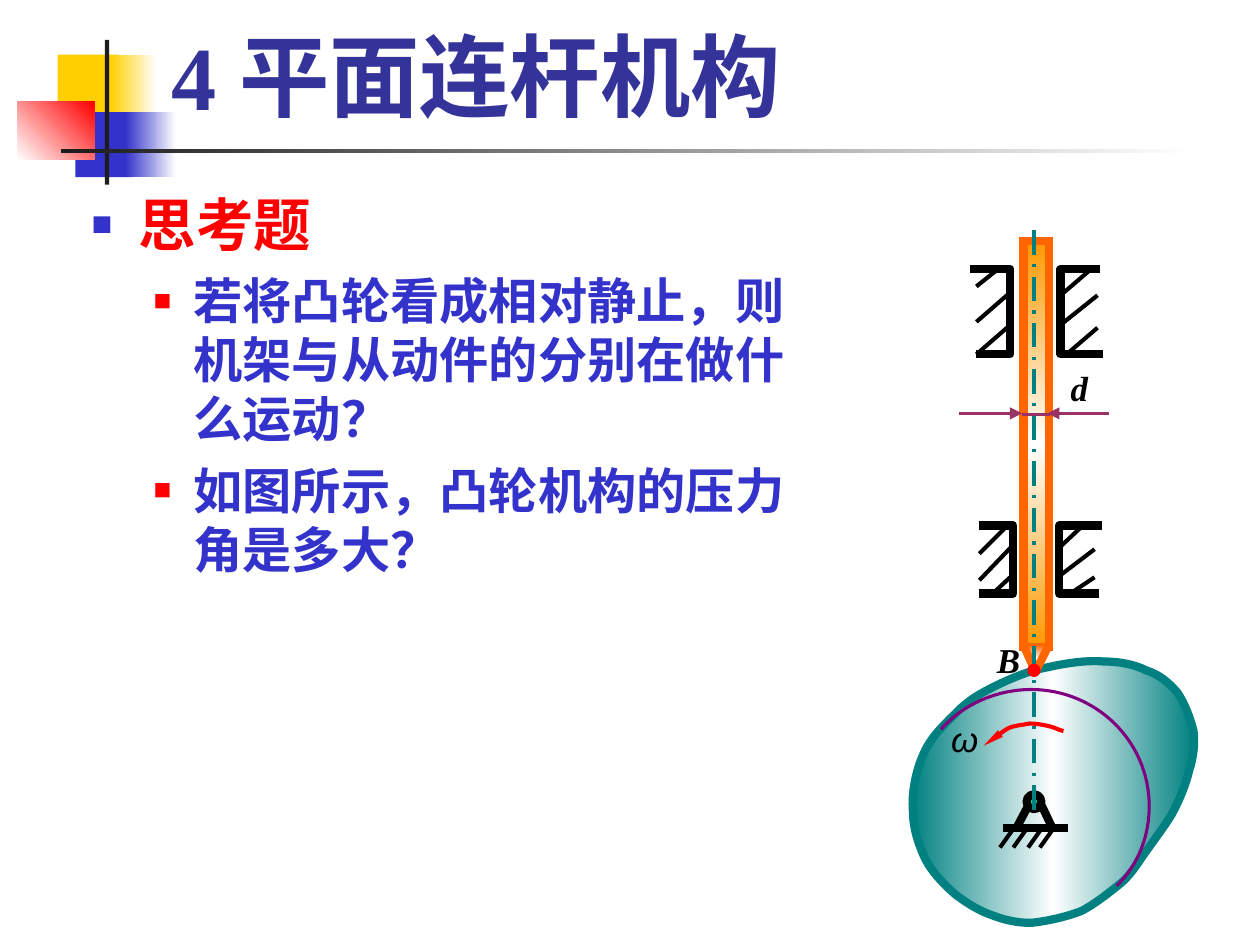
from copy import deepcopy

from lxml.etree import SubElement
from pptx import Presentation
from pptx.dml.color import RGBColor
from pptx.enum.dml import MSO_LINE
from pptx.enum.shapes import MSO_CONNECTOR, MSO_SHAPE
from pptx.enum.text import MSO_ANCHOR, MSO_AUTO_SIZE, PP_ALIGN
from pptx.oxml.ns import qn
from pptx.util import Cm, Pt

YELLOW = RGBColor(0xFF, 0xCF, 0x01)
WHITE = RGBColor(0xFF, 0xFF, 0xFF)
BLUE = RGBColor(0x33, 0x33, 0xCC)
NAVY = RGBColor(0x33, 0x33, 0x99)
RED = RGBColor(0xFF, 0x00, 0x00)
CHARCOAL = RGBColor(0x1C, 0x1C, 0x1C)
BLACK = RGBColor(0x00, 0x00, 0x00)
TEAL = RGBColor(0x00, 0x80, 0x80)
MINT = RGBColor(0x00, 0xE4, 0xA8)
PURPLE = RGBColor(0x80, 0x00, 0x80)
PLUM = RGBColor(0x99, 0x33, 0x66)
AMBER = RGBColor(0xFF, 0x99, 0x00)
ORANGE = RGBColor(0xFF, 0x66, 0x00)
CM_PER_INCH = 2.54


def lengths(*inches):
    return [Cm(value * CM_PER_INCH) for value in inches]


def paint(shape, colours, angle=0, edge=None, width=0):
    shape.shadow.inherit = False
    if not colours:
        shape.fill.background()
    elif len(colours) == 1:
        shape.fill.solid()
        shape.fill.fore_color.rgb = colours[0]
    else:
        shape.fill.gradient()
        shape.fill.gradient_angle = angle
        stop_list = shape._element.spPr.find(".//" + qn("a:gsLst"))
        if len(colours) == 3:
            stop_list.insert(1, deepcopy(stop_list[0]))
        for index, stop in enumerate(shape.fill.gradient_stops):
            stop.position = index / (len(colours) - 1)
            stop.color.rgb = colours[index]
    if edge is None:
        shape.line.fill.background()
    else:
        shape.line.color.rgb = edge
        shape.line.width = Pt(width)


prs = Presentation()
prs.slide_width, prs.slide_height = lengths(8.53, 6.4)
slide = prs.slides.add_slide(prs.slide_layouts[5])
shapes = slide.shapes

rectangles = [
    ((0.39, 0.37, 0.41, 0.44), [YELLOW], 0, None),
    ((0.75, 0.37, 0.31, 0.44), [YELLOW, WHITE], 0, None),
    ((0.51, 0.76, 0.39, 0.44), [BLUE], 0, None),
    ((0.85, 0.76, 0.34, 0.44), [BLUE, WHITE], 0, None),
    ((0.12, 0.69, 0.52, 0.39), [WHITE, RED], 45, None),
    ((0.71, 0.27, 0.03, 0.98), [CHARCOAL], 0, None),
    ((0.41, 1.01, 7.68, 0.03), [CHARCOAL, WHITE], 0, None),
    ((6.93, 1.63, 0.17, 2.75), [AMBER, WHITE, AMBER], 90, ORANGE),
]
for box, colours, angle, edge in rectangles:
    rectangle = shapes.add_shape(MSO_SHAPE.RECTANGLE, *lengths(*box))
    paint(rectangle, colours, angle, edge, 4)
    SubElement(rectangle._element.spPr.find(qn("a:ln")), qn("a:miter")).set("lim", "800000")

title = shapes.title
title.left, title.top, title.width, title.height = lengths(1.07, 0.09, 7.27, 0.82)
heading = title.text_frame
heading.auto_size = MSO_AUTO_SIZE.NONE
heading.vertical_anchor = MSO_ANCHOR.BOTTOM
heading.margin_left, heading.margin_bottom = lengths(0.09, 0.04)
heading.text = "4 平面连杆机构"
heading.paragraphs[0].alignment = PP_ALIGN.LEFT
font = heading.paragraphs[0].runs[0].font
font.size, font.bold, font.name = Pt(44), True, "Times New Roman"
font.color.rgb = NAVY

questions = shapes.add_textbox(*lengths(0.53, 1.24, 4.87, 4.78)).text_frame
questions.word_wrap = True
questions.margin_left, questions.margin_top, questions.margin_right = lengths(0.09, 0.04, 0.05)
question_lines = [
    ("思考题", 0, 28, RED, BLUE, 7, 0.32, -0.32),
    ("若将凸轮看成相对静止，则机架与从动件的分别在做什么运动？", 1, 24, BLUE, RED, 6, 0.69, -0.27),
    ("如图所示，凸轮机构的压力角是多大？", 1, 24, BLUE, RED, 6, 0.69, -0.27),
]
for index, (text, level, size, colour, bullet, before, margin, indent) in enumerate(question_lines):
    paragraph = questions.add_paragraph() if index else questions.paragraphs[0]
    paragraph.text = text
    paragraph.level = level
    paragraph.space_before = Pt(before)
    font = paragraph.runs[0].font
    font.size, font.bold, font.name = Pt(size), True, "Times New Roman"
    font.color.rgb = colour
    props = paragraph._p.get_or_add_pPr()
    margin, indent = lengths(margin, indent)
    props.set("marL", str(margin))
    props.set("indent", str(indent))
    SubElement(SubElement(props, qn("a:buClr")), qn("a:srgbClr")).set("val", str(bullet))
    SubElement(props, qn("a:buSzPct")).set("val", "60000")
    SubElement(props, qn("a:buFont")).set("typeface", "Arial")
    SubElement(props, qn("a:buChar")).set("char", "■")

cam = [
    (7.59, 5.98), (7.67, 5.91), (7.71, 5.83), (7.77, 5.75), (7.82, 5.68), (7.88, 5.6),
    (7.93, 5.52), (7.98, 5.43), (8.03, 5.31), (8.05, 5.22), (8.08, 5.13), (8.09, 5.04),
    (8.08, 4.95), (8.06, 4.87), (8.02, 4.76), (7.97, 4.69), (7.91, 4.62), (7.85, 4.57),
    (7.76, 4.54), (7.68, 4.5), (7.58, 4.48), (7.47, 4.48), (7.36, 4.47), (7.22, 4.49),
    (7.09, 4.52), (6.97, 4.54), (6.83, 4.6), (6.73, 4.65), (6.63, 4.7), (6.56, 4.74),
    (6.48, 4.82), (6.4, 4.9), (6.3, 4.99), (6.25, 5.11), (6.2, 5.22), (6.17, 5.37),
    (6.18, 5.49), (6.18, 5.61), (6.22, 5.73), (6.27, 5.83), (6.32, 5.92), (6.4, 6),
    (6.47, 6.06), (6.55, 6.12), (6.63, 6.17), (6.72, 6.2), (6.8, 6.23), (6.88, 6.25),
    (6.98, 6.25), (7.08, 6.24), (7.22, 6.21), (7.32, 6.17), (7.42, 6.12), (7.54, 6.02),
    (7.59, 5.98),
]
base_circle = [
    (6.37, 4.94), (6.52, 4.77), (6.75, 4.67), (6.98, 4.67), (7.42, 4.67),
    (7.78, 5.02), (7.78, 5.46), (7.78, 5.66), (7.71, 5.85), (7.56, 6),
]
rotation = [
    (6.66, 5.05), (6.69, 5.03), (6.78, 4.96), (6.83, 4.93), (6.88, 4.91), (6.93, 4.91),
    (6.97, 4.9), (7.02, 4.9), (7.07, 4.91), (7.11, 4.92), (7.15, 4.93), (7.18, 4.95),
    (7.2, 4.95),
]
guides = [
    [(6.57, 1.82), (6.84, 1.82), (6.84, 2.4), (6.61, 2.4)],
    [(7.45, 1.82), (7.18, 1.82), (7.18, 2.4), (7.47, 2.4)],
    [(6.63, 4.02), (6.86, 4.02), (6.86, 3.56), (6.63, 3.56)],
    [(7.44, 4.02), (7.17, 4.02), (7.17, 3.56), (7.46, 3.56)],
]
tip = [(6.93, 4.37), (7.01, 4.55), (7.1, 4.37)]
outlines = [
    (cam, True, [TEAL, WHITE, TEAL], 0, TEAL, 4),
    (base_circle, True, [], 0, PURPLE, 1.5),
    (rotation, True, [], 0, RED, 2),
    *[(guide, False, [], 0, BLACK, 4) for guide in guides],
    (tip, False, [ORANGE, WHITE, ORANGE], 90, ORANGE, 4),
]
for points, curved, colours, angle, edge, width in outlines:
    route = [lengths(*point) for point in points]
    builder = shapes.build_freeform(*route[0])
    builder.add_line_segments(route[1:], close=points is cam)
    outline = builder.convert_to_shape()
    paint(outline, colours, angle, edge, width)
    if curved:
        steps = outline._element.spPr.findall(".//" + qn("a:lnTo"))
        for first in range(0, len(points) - 1, 3):
            curve = steps[first]
            curve.tag = qn("a:cubicBezTo")
            for step in steps[first + 1:first + 3]:
                curve.append(step[0])
                step.getparent().remove(step)
    if points is rotation:
        head = SubElement(outline._element.spPr.find(qn("a:ln")), qn("a:headEnd"))
        head.set("type", "triangle")
        head.set("w", "sm")
        head.set("len", "lg")

support = [
    (6.97, 5.44, 6.88, 5.61, BLACK, 4), (7.04, 5.43, 7.13, 5.62, BLACK, 4),
    (6.79, 5.61, 7.23, 5.61, BLACK, 4),
    *[(x, 5.6, x - 0.1, 5.74, BLACK, 2) for x in (6.87, 6.96, 7.06, 7.14)],
]
hatches = [
    (6.76, 1.82, 6.61, 1.94), (6.84, 1.98, 6.61, 2.18), (6.84, 2.2, 6.61, 2.4),
    (7.39, 1.82, 7.18, 2), (7.43, 2, 7.18, 2.2), (7.43, 2.22, 7.22, 2.4),
    (6.81, 3.57, 6.63, 3.75), (6.86, 3.69, 6.63, 3.93), (6.86, 3.89, 6.71, 4.03),
    (7.33, 3.56, 7.16, 3.72), (7.41, 3.72, 7.16, 3.91), (7.41, 3.91, 7.26, 4.01),
]
axis_line = (7, 1.56, 7, 5.51, TEAL, 1.5)
arrows = [(6.49, 2.8, 6.92, 2.8, PLUM, 1.5), (7.51, 2.8, 7.09, 2.8, PLUM, 1.5)]
follower = [axis_line, *[(*hatch, BLACK, 2) for hatch in hatches], *arrows,
            (6.92, 2.81, 7.11, 2.81, PLUM, 1.5)]
assemblies = [
    (support, (6.95, 5.38, 0.1, 0.1), MINT, BLACK, 4),
    (follower, (6.96, 4.5, 0.08, 0.08), RED, RED, 0.75),
]
for segments, joint_box, joint_fill, joint_edge, joint_width in assemblies:
    for segment in segments:
        *ends, colour, width = segment
        link = shapes.add_connector(MSO_CONNECTOR.STRAIGHT, *lengths(*ends))
        link.line.color.rgb = colour
        link.line.width = Pt(width)
        if segment is axis_line:
            link.line.dash_style = MSO_LINE.LONG_DASH_DOT
        props = link._element.spPr
        if segment in arrows:
            SubElement(props.find(qn("a:ln")), qn("a:tailEnd")).set("type", "triangle")
        SubElement(props, qn("a:effectLst"))
    joint = shapes.add_shape(MSO_SHAPE.OVAL, *lengths(*joint_box))
    paint(joint, [joint_fill], 0, joint_edge, joint_width)

labels = [
    ("B", (6.65, 4.28, 0.33, 0.37), "Times New Roman", True),
    ("ω", (6.34, 4.82, 0.33, 0.37), "Arial", False),
    ("d", (7.15, 2.44, 0.29, 0.37), "Times New Roman", True),
]
for text, box, typeface, bold in labels:
    label = shapes.add_textbox(*lengths(*box)).text_frame
    label.word_wrap = False
    label.vertical_anchor = MSO_ANCHOR.MIDDLE
    label.text = text
    label.paragraphs[0].alignment = PP_ALIGN.CENTER
    font = label.paragraphs[0].runs[0].font
    font.size, font.bold, font.italic, font.name = Pt(17), bold, True, typeface
    font.color.rgb = BLACK

prs.save("out.pptx")
